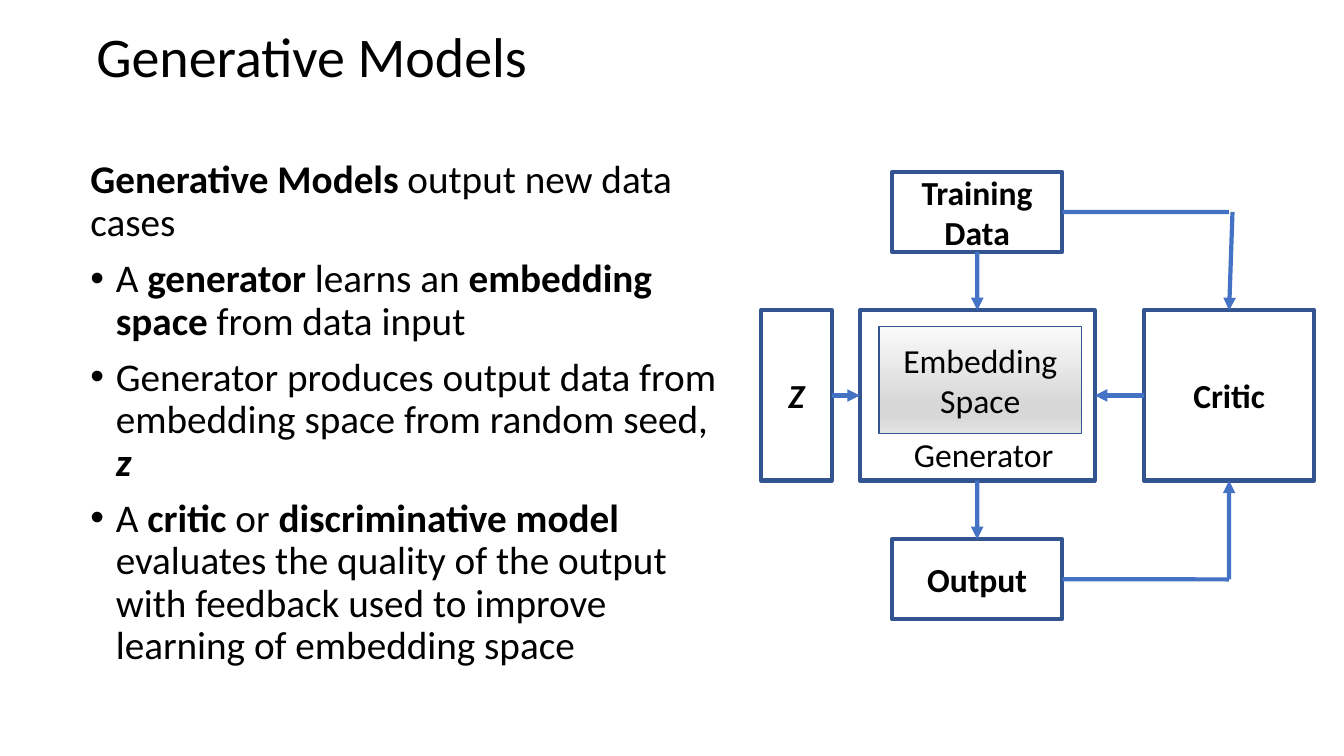
"""Builds the Generative Models slide: explanatory bullets beside a generator and critic diagram."""
from copy import deepcopy

from lxml.etree import SubElement
from pptx import Presentation
from pptx.dml.color import RGBColor
from pptx.enum.shapes import MSO_CONNECTOR, MSO_SHAPE
from pptx.enum.text import MSO_ANCHOR, PP_ALIGN
from pptx.oxml.ns import qn
from pptx.util import Cm, Pt

BORDER = "325491"
ARROW = "4472C4"
rgb = RGBColor.from_string


def write(shape, paragraphs, size=24, align=PP_ALIGN.CENTER, anchor=MSO_ANCHOR.MIDDLE,
          line_spacing=None, space_before=0, bullets=False):
    frame = shape.text_frame
    frame.word_wrap = True
    frame.vertical_anchor = anchor
    for index, runs in enumerate(paragraphs):
        paragraph = frame.add_paragraph() if index else frame.paragraphs[0]
        paragraph.alignment = align
        paragraph.line_spacing = line_spacing
        if index:
            paragraph.space_before = Pt(space_before)
        if bullets and index:
            properties = paragraph._p.get_or_add_pPr()
            properties.set("marL", str(Cm(0.64)))
            properties.set("indent", str(-Cm(0.64)))
            SubElement(properties, qn("a:buFont")).set("typeface", "Arial")
            SubElement(properties, qn("a:buChar")).set("char", "•")
        for text, style in runs:
            run = paragraph.add_run()
            run.text = text
            run.font.name = "Calibri"
            run.font.size = Pt(size)
            run.font.bold = "b" in style
            run.font.italic = "i" in style
            run.font.color.rgb = rgb("000000")


presentation = Presentation()
presentation.slide_width, presentation.slide_height = Cm(33.87), Cm(19.05)
slide = presentation.slides.add_slide(presentation.slide_layouts[6])
shapes = slide.shapes

title = shapes.add_textbox(Cm(2.18), Cm(0.3), Cm(29.21), Cm(2.41))
write(title, [[("Generative Models", "")]], size=40, align=PP_ALIGN.LEFT, line_spacing=0.9)

explanation = shapes.add_textbox(Cm(2.03), Cm(3.91), Cm(16.41), Cm(14.38))
write(explanation, [
    [("Generative Models", "b"), (" output new data cases", "")],
    [("A ", ""), ("generator", "b"), (" learns an ", ""), ("embedding space", "b"),
     (" from data input", "")],
    [("Generator produces output data from embedding space from random seed, ", ""),
     ("z", "bi")],
    [("A ", ""), ("critic", "b"), (" or ", ""), ("discriminative model ", "b"),
     ("evaluates the quality of the output with feedback used to improve "
      "learning of embedding space", "")],
], size=28, align=PP_ALIGN.LEFT, anchor=MSO_ANCHOR.TOP, line_spacing=0.9,
    space_before=10, bullets=True)

boxes = {}
for name, style, left, top, width, height, weight in [
    ("Generator", "", 21.67, 7.82, 5.92, 4.29, 3),
    ("Training Data", "b", 22.48, 4.34, 4.29, 2.01, 3),
    ("Embedding Space", "", 22.15, 8.23, 5.11, 2.69, 1),
    ("Output", "b", 22.48, 13.59, 4.29, 2.01, 3),
    ("Z", "bi", 19.18, 7.82, 1.78, 4.29, 3),
    ("Critic", "b", 28.83, 7.82, 4.29, 4.29, 3),
]:
    box = shapes.add_shape(MSO_SHAPE.RECTANGLE, Cm(left), Cm(top), Cm(width), Cm(height))
    box.shadow.inherit = False
    box.fill.background()
    box.line.color.rgb = rgb(BORDER)
    box.line.width = Pt(weight)
    if name != "Generator":
        write(box, [[(name, style)]])
    boxes[name] = box

embedding_fill = boxes["Embedding Space"].fill
embedding_fill.gradient()
embedding_fill.gradient_angle = 270
stop_list = boxes["Embedding Space"]._element.spPr.find(qn("a:gradFill")).find(qn("a:gsLst"))
for _ in range(2):
    stop_list.append(deepcopy(stop_list[0]))
shades = [(0, "FAFAFA"), (0.74, "D7D7D7"), (0.83, "D7D7D7"), (1, "E4E4E4")]
for stop, (position, shade) in zip(embedding_fill.gradient_stops, shades):
    stop.position = position
    stop.color.rgb = rgb(shade)

generator_label = shapes.add_textbox(Cm(22.68), Cm(10.8), Cm(4.22), Cm(1.27))
write(generator_label, [[("Generator", "")]], anchor=MSO_ANCHOR.TOP)

TOP, LEFT, BOTTOM, RIGHT = range(4)
training_corner, training_drop = (30.97, 5.34), (31.06, 5.34)
output_corner = (30.97, 14.6)
for start, end, has_head in [
    (("Training Data", BOTTOM), ("Generator", TOP), True),
    (("Generator", BOTTOM), ("Output", TOP), True),
    (("Z", RIGHT), ("Generator", LEFT), True),
    (("Critic", LEFT), ("Generator", RIGHT), True),
    (output_corner, ("Critic", BOTTOM), True),
    (("Output", RIGHT), output_corner, False),
    (("Training Data", RIGHT), training_corner, False),
    (training_drop, ("Critic", TOP), True),
]:
    x1, y1 = (0, 0) if start[0] in boxes else start
    x2, y2 = (0, 0) if end[0] in boxes else end
    link = shapes.add_connector(MSO_CONNECTOR.STRAIGHT, Cm(x1), Cm(y1), Cm(x2), Cm(y2))
    if start[0] in boxes:
        link.begin_connect(boxes[start[0]], start[1])
    if end[0] in boxes:
        link.end_connect(boxes[end[0]], end[1])
    link.line.color.rgb = rgb(ARROW)
    link.line.width = Pt(3)
    if has_head:
        SubElement(link.line._get_or_add_ln(), qn("a:tailEnd")).set("type", "triangle")
    SubElement(link._element.spPr, qn("a:effectLst"))

presentation.save("out.pptx")
